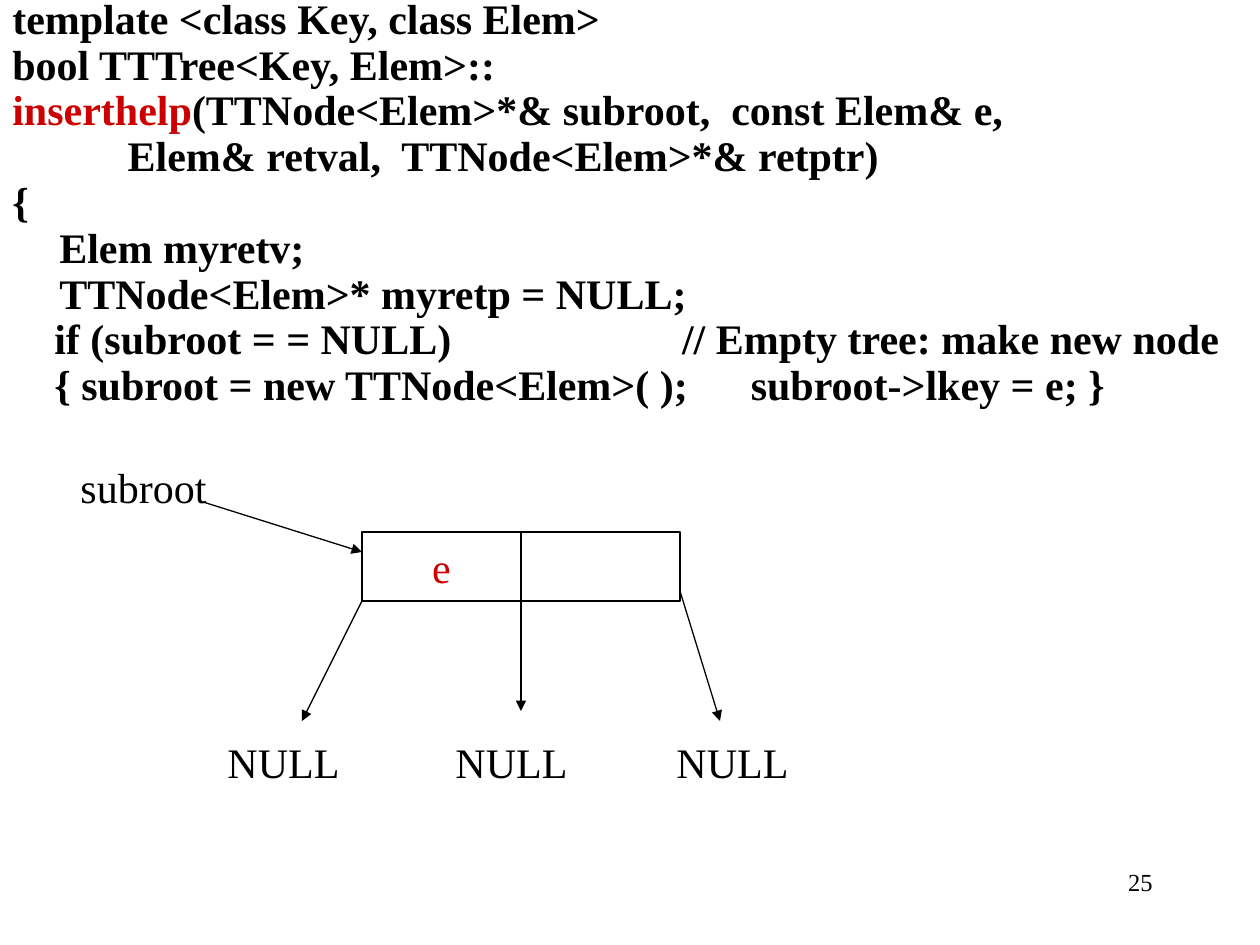
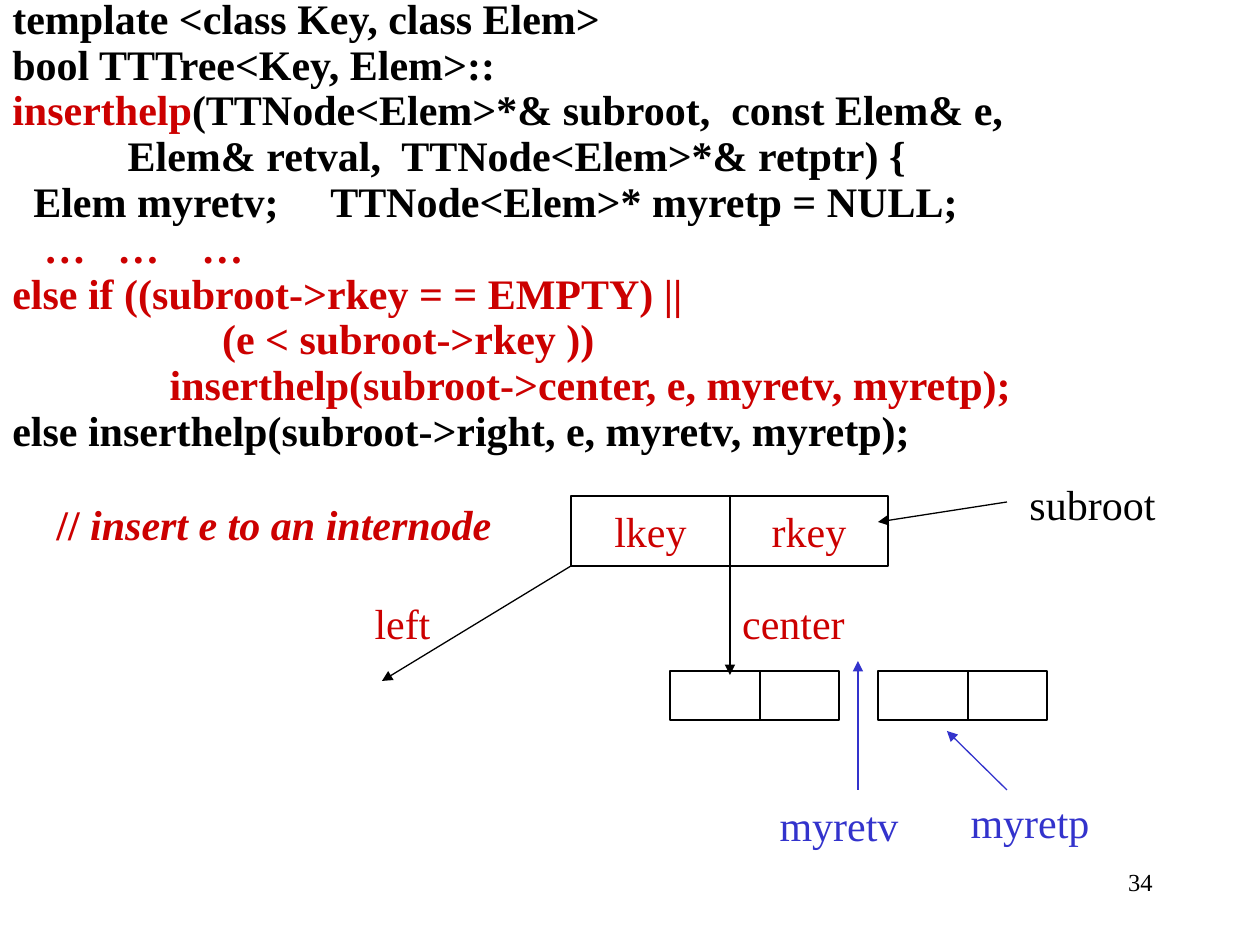
from dataclasses import dataclass
from lxml import etree
from pptx import Presentation
from pptx.dml.color import RGBColor
from pptx.enum.shapes import MSO_CONNECTOR, MSO_SHAPE
from pptx.enum.text import MSO_ANCHOR, PP_ALIGN
from pptx.oxml.ns import qn
from pptx.util import Emu, Pt

LEFT, CENTER, RIGHT = PP_ALIGN.LEFT, PP_ALIGN.CENTER, PP_ALIGN.RIGHT
TOP, MIDDLE = MSO_ANCHOR.TOP, MSO_ANCHOR.MIDDLE
RECT, STRAIGHT = MSO_SHAPE.RECTANGLE, MSO_CONNECTOR.STRAIGHT
PX = 914400 // 126


@dataclass(frozen=True)
class Theme:
    font: str = "Times New Roman"
    black: str = "000000"
    red: str = "CC0000"
    blue: str = "3333CC"
    body: int = 24
    number: int = 14
    line: float = 0.75
    code_spacing: float = 0.7
    code_before: int = 6
    code_indent: int = 47


T = Theme()
NUMBER_BOX = (903, 861, 262, 63)
LABEL_H = 63

SIGNATURE = [
    "template <class Key, class Elem>",
    "bool TTTree<Key, Elem>::",
    [("inserthelp", {"color": T.red}), "(TTNode<Elem>*& subroot,  const Elem& e,"],
]

SLIDES = [
    {
        "number": "25",
        "code_box": (0, 0, 1260, 945),
        "code": SIGNATURE + [
            "           Elem& retval,  TTNode<Elem>*& retptr)",
            "{",
            "  \tElem myretv;",
            "\tTTNode<Elem>* myretp = NULL;",
            "    if (subroot = = NULL)                      // Empty tree: make new node",
            "    { subroot = new TTNode<Elem>( );      subroot->lkey = e; }",
        ],
        "nodes": [(362, 532, (159, 159), 69, ("e", ""))],
        "labels": [
            ("NULL", 215, 730, 137, T.black),
            ("NULL", 443, 730, 137, T.black),
            ("NULL", 664, 730, 137, T.black),
            ("subroot", 68, 455, 151, T.black),
        ],
        "arrows": [
            (362, 601, 302, 721, T.black),
            (521, 601, 521, 711, T.black),
            (680, 591, 720, 721, T.black),
            (203, 502, 362, 552, T.black),
        ],
    },
    {
        "number": "34",
        "code_box": (0, 0, 1226, 483),
        "code": SIGNATURE + [
            "           Elem& retval,  TTNode<Elem>*& retptr) {",
            "  Elem myretv;     TTNode<Elem>* myretp = NULL;",
            [("   …   …    …", {"color": T.red})],
            [("else if ((subroot->rkey = = EMPTY) ||", {"color": T.red})],
            [("                    (e < subroot->rkey ))", {"color": T.red})],
            [("               inserthelp(subroot->center, e, myretv, myretp);", {"color": T.red})],
            "else inserthelp(subroot->right, e, myretv, myretp);",
        ],
        "nodes": [
            (571, 496, (159, 158), 70, ("lkey", "rkey")),
            (670, 671, (90, 79), 49, ("", "")),
            (878, 671, (90, 79), 49, ("", "")),
        ],
        "labels": [
            ("left", 362, 591, 81, T.red),
            ("center", 726, 591, 135, T.red),
            ("subroot", 1017, 472, 151, T.black),
            ("myretv", 767, 793, 144, T.blue),
            ("myretp", 958, 790, 144, T.blue),
            ([("//", {"bold": True}),
              (" insert e to an internode", {"bold": True, "italic": True})],
             44, 492, 460, T.red),
        ],
        "arrows": [
            (571, 566, 382, 681, T.black),
            (730, 566, 730, 675, T.black),
            (1007, 502, 878, 522, T.black),
            (858, 790, 858, 661, T.blue),
            (1007, 790, 947, 731, T.blue),
        ],
    },
]


def px(*values):
    return [Emu(v * PX) for v in values]


def write(tf, lines, size=T.body, color=T.black, bold=False, align=CENTER,
          anchor=TOP, wrap=False, code=False):
    tf.word_wrap = wrap
    tf.vertical_anchor = anchor
    for i, line in enumerate(lines):
        p = tf.paragraphs[0] if i == 0 else tf.add_paragraph()
        p.alignment = align
        if code:
            p.line_spacing = T.code_spacing
            pPr = p._p.get_or_add_pPr()
            pPr.set("marL", str(T.code_indent * PX))
            pPr.set("indent", str(-T.code_indent * PX))
            if i:
                p.space_before = Pt(T.code_before)
        for part in [line] if isinstance(line, str) else line:
            text, fmt = (part, {}) if isinstance(part, str) else part
            r = p.add_run()
            r.text = text
            r.font.name = T.font
            r.font.size = Pt(size)
            r.font.bold = fmt.get("bold", bold)
            r.font.italic = fmt.get("italic", False)
            r.font.color.rgb = RGBColor.from_string(fmt.get("color", color))


def add_text(s, lines, box, **fmt):
    write(s.shapes.add_textbox(*px(*box)).text_frame, lines, **fmt)


def add_node(s, x, y, widths, height, keys):
    for width, key in zip(widths, keys):
        sp = s.shapes.add_shape(RECT, *px(x, y, width, height))
        sp.shadow.inherit = False
        sp.fill.background()
        sp.line.color.rgb = RGBColor.from_string(T.black)
        sp.line.width = Pt(T.line)
        if key:
            write(sp.text_frame, [key], color=T.red, anchor=MIDDLE)
        x += width


def add_arrow(s, x1, y1, x2, y2, color):
    c = s.shapes.add_connector(STRAIGHT, *px(x1, y1, x2, y2))
    c.line.color.rgb = RGBColor.from_string(color)
    c.line.width = Pt(T.line)
    etree.SubElement(c.line._get_or_add_ln(), qn("a:tailEnd"), type="triangle")
    etree.SubElement(c._element.spPr, qn("a:effectLst"))


def build_slide(prs, data):
    s = prs.slides.add_slide(prs.slide_layouts[6])
    add_text(s, [data["number"]], NUMBER_BOX, size=T.number, align=RIGHT, wrap=True)
    add_text(s, data["code"], data["code_box"], bold=True, align=LEFT, wrap=True, code=True)
    for node in data["nodes"]:
        add_node(s, *node)
    for arrow in data["arrows"]:
        add_arrow(s, *arrow)
    for text, x, y, width, color in data["labels"]:
        add_text(s, [text], (x, y, width, LABEL_H), color=color)


def main():
    prs = Presentation()
    prs.slide_width, prs.slide_height = px(1260, 945)
    for data in SLIDES:
        build_slide(prs, data)
    prs.save("out.pptx")


if __name__ == "__main__":
    main()
